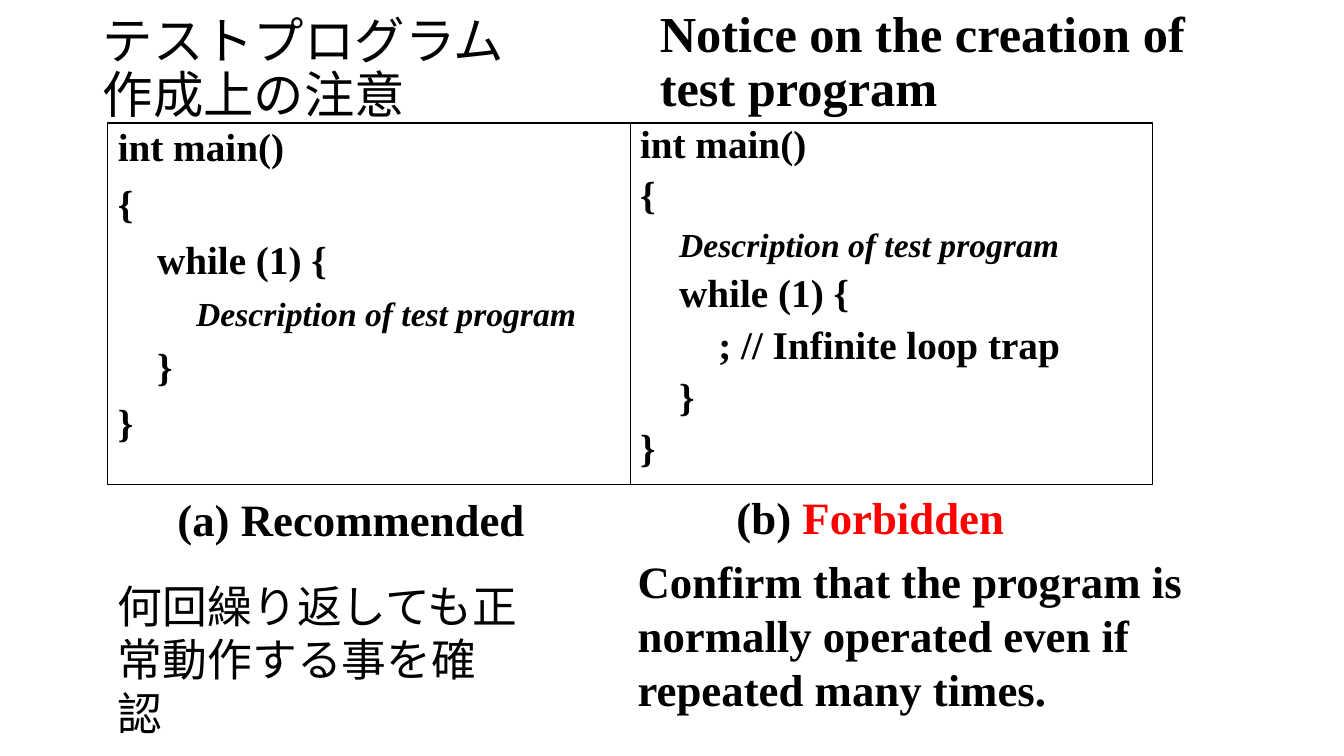
from dataclasses import dataclass

from pptx import Presentation
from pptx.dml.color import RGBColor
from pptx.enum import shapes, text
from pptx.util import Cm, Pt

# Content: code lines are (indent level, wording, is it a placeholder description)
DESCRIPTION = "Description of test program"
PROGRAMS = [
    {"line_spacing": 0.9, "lines": [
        (0, "int main()", False),
        (0, "{", False),
        (1, "while (1) {", False),
        (2, DESCRIPTION, True),
        (1, "}", False),
        (0, "}", False)]},
    {"line_spacing": 0.8, "lines": [
        (0, "int main()", False),
        (0, "{", False),
        (1, DESCRIPTION, True),
        (1, "while (1) {", False),
        (2, "; // Infinite loop trap", False),
        (1, "}", False),
        (0, "}", False)]},
]


@dataclass(frozen=True)
class Theme:
    black: RGBColor = RGBColor(0, 0, 0)
    red: RGBColor = RGBColor(255, 0, 0)
    english: str = "Times New Roman"
    japanese: str = "Calibri"
    title: int = 36
    body: int = 32
    code: int = 28
    description: int = 24
    indent: int = 28


THEME = Theme()

# Text boxes: place in cm (left, top, width, height), size, font, runs
ENGLISH_TITLE = ((16.38, 0.61, 14.22, 1.96), THEME.title, THEME.english,
                 [("Notice on the creation of test program", THEME.black)])
JAPANESE_TITLE = ((2.34, 0.79, 11.89, 1.96), THEME.title, THEME.japanese,
                  [("テストプログラム", THEME.black), ("作成上の注意", THEME.black)])
NOTES = [
    ((4.22, 12.27, 9.53, 1.63), THEME.body, THEME.english,
     [("(a) Recommended", THEME.black)]),
    ((18.31, 12.22, 7.57, 1.63), THEME.body, THEME.english,
     [("(b) ", THEME.black), ("Forbidden", THEME.red)]),
    ((15.82, 13.84, 14.76, 4.37), THEME.body, THEME.english,
     [("Confirm that the program is normally operated even if "
       "repeated many times.", THEME.black)]),
    ((2.72, 14.45, 10.64, 3.0), THEME.body, THEME.japanese,
     [("何回繰り返しても正常動作する事を確認", THEME.black)]),
]
PANEL_LEFT, PANEL_TOP, PANEL_WIDTH, PANEL_HEIGHT = 2.72, 3.1, 13.16, 9.12


def add_span(para, wording, size, font, color, italic=False):
    span = para.add_run()
    span.text = wording
    span.font.size = Pt(size)
    span.font.name = font
    span.font.bold = font == THEME.english
    span.font.italic = italic
    span.font.color.rgb = color


def add_text(page, item, is_title=False):
    place, size, font, spans = item
    box = page.shapes.add_textbox(*map(Cm, place))
    frame = box.text_frame
    frame.word_wrap = True
    para = frame.paragraphs[0]
    if is_title:
        frame.vertical_anchor = text.MSO_ANCHOR.MIDDLE
        para.line_spacing = 0.9
    for index, (wording, color) in enumerate(spans):
        if is_title and index:
            para.add_line_break()
        add_span(para, wording, size, font, color)


def add_program(page, column, program):
    left = PANEL_LEFT + column * PANEL_WIDTH
    box = page.shapes.add_shape(
        shapes.MSO_SHAPE.RECTANGLE,
        *map(Cm, (left, PANEL_TOP, PANEL_WIDTH, PANEL_HEIGHT)))
    box.shadow.inherit = False
    box.fill.background()
    box.line.color.rgb = THEME.black
    box.line.width = Pt(0.75)
    frame = box.text_frame
    frame.word_wrap = True
    frame.vertical_anchor = text.MSO_ANCHOR.TOP
    for index, (level, wording, is_description) in enumerate(program["lines"]):
        para = frame.add_paragraph() if index else frame.paragraphs[0]
        para.alignment = text.PP_ALIGN.LEFT
        para.line_spacing = program["line_spacing"]
        para.space_before = Pt(10)
        properties = para._p.get_or_add_pPr()
        properties.set("marL", str(Pt(level * THEME.indent)))
        properties.set("indent", "0")
        size = THEME.description if is_description else THEME.code
        add_span(para, wording, size, THEME.english, THEME.black, is_description)


def main():
    deck = Presentation()
    deck.slide_width, deck.slide_height = Cm(33.87), Cm(19.05)
    page = deck.slides.add_slide(deck.slide_layouts[6])

    # Titles
    for title in (ENGLISH_TITLE, JAPANESE_TITLE):
        add_text(page, title, is_title=True)

    # Side-by-side programs
    for column, program in enumerate(PROGRAMS):
        add_program(page, column, program)

    # Captions and closing advice
    for note in NOTES:
        add_text(page, note)

    deck.save("out.pptx")


if __name__ == "__main__":
    main()
